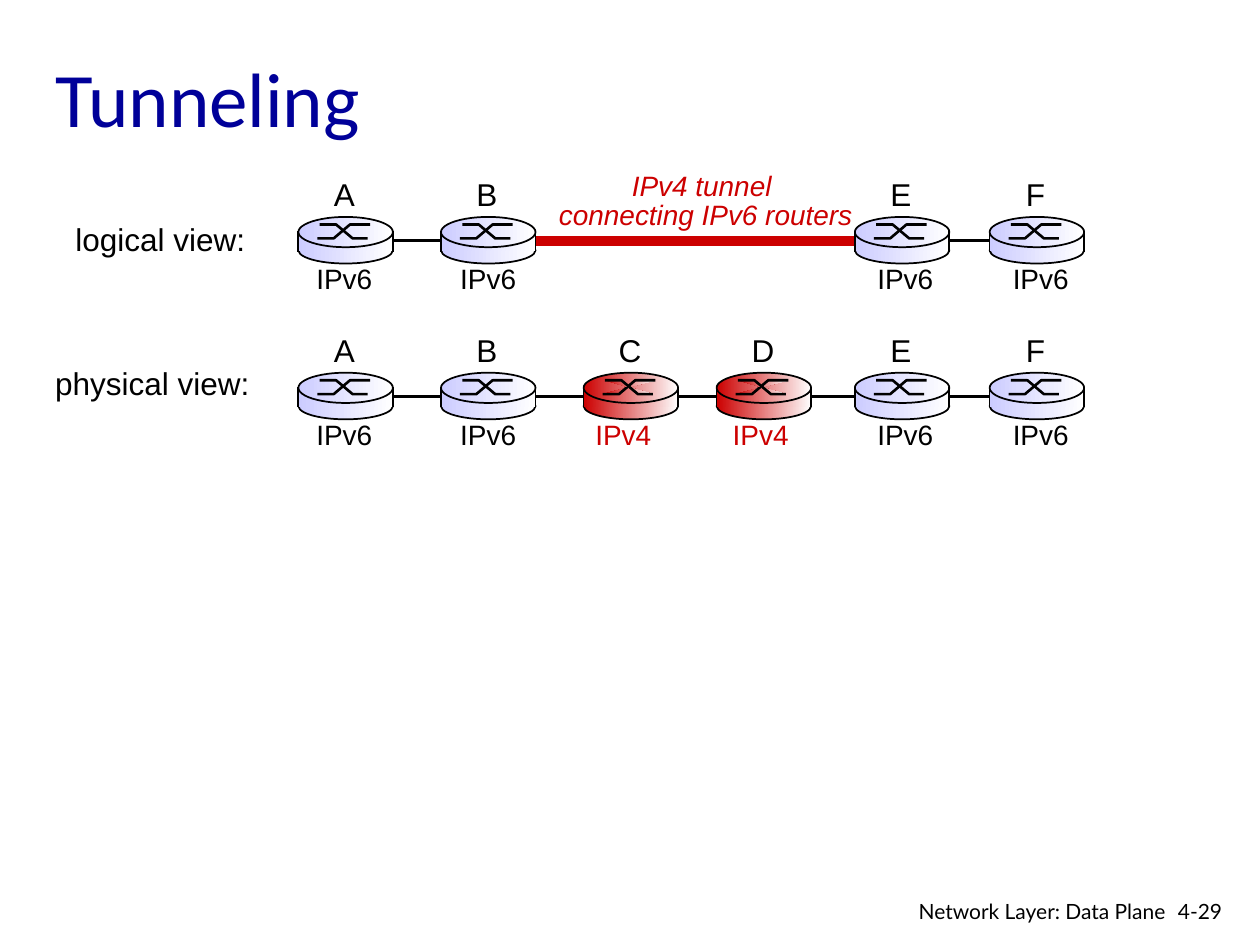
from dataclasses import dataclass

import pptx
import pptx.dml.color
import pptx.enum.shapes
import pptx.enum.text
import pptx.oxml
import pptx.util
from pptx.util import Pt

COLORS = {"title": "000099", "ink": "000000", "ipv6": "CCCCFF",
          "ipv4": "CC0000", "fade": "FFFFFF"}
SHAPES = pptx.enum.shapes.MSO_SHAPE
ALIGN = pptx.enum.text.PP_ALIGN
ANCHOR = pptx.enum.text.MSO_ANCHOR

ROUTER_WIDTH = 54
LINK_DROP = 13.5  # from the top of a router to its links
CROSS = (((10.8, 12.2), (20.2, 12.2), (29.5, 4.3), (41, 4.3)),
         ((12.2, 4.3), (21.6, 4.3), (31, 12.2), (39.6, 12.2)))


@dataclass(frozen=True)
class Router:
    letter: str
    left: float
    protocol: str = "IPv6"
    protocol_shift: float = 0


@dataclass(frozen=True)
class View:
    label: str
    label_left: float
    label_top: float
    label_width: float
    router_top: float
    letters: str


ROUTERS = {router.letter: router for router in (
    Router("A", 170.5, protocol_shift=-0.7),
    Router("B", 252),
    Router("C", 333.5, "IPv4", -4.3),
    Router("D", 409.5, "IPv4", -1.8),
    Router("E", 488.5, protocol_shift=1.8),
    Router("F", 565.5, protocol_shift=2.2),
)}
LOGICAL = View("logical view:", 36, 122.4, 111.6, 124, "ABEF")
PHYSICAL = View("physical view:", 24.5, 204.5, 125.3, 213, "ABCDEF")


def rgb(name: str) -> pptx.dml.color.RGBColor:
    return pptx.dml.color.RGBColor.from_string(COLORS[name])


def write(frame, text: str, *, size: float, font: str = "Arial", color: str = "ink",
          align=ALIGN.LEFT, italic: bool = False, spacing: float = 1.0,
          wrap: bool = False, anchor=ANCHOR.TOP) -> None:
    frame.word_wrap = wrap
    frame.vertical_anchor = anchor
    frame.text = text
    for paragraph in frame.paragraphs:
        paragraph.alignment = align
        paragraph.line_spacing = spacing
        paragraph.font.size = Pt(size)
        paragraph.font.name = font
        paragraph.font.italic = italic
        paragraph.font.color.rgb = rgb(color)


def add_text(slide, text: str, left: float, top: float, width: float,
             height: float, **style) -> None:
    box = slide.shapes.add_textbox(Pt(left), Pt(top), Pt(width), Pt(height))
    write(box.text_frame, text, **style)


def add_line(slide, x1: float, y1: float, x2: float, y2: float, weight: float) -> None:
    line = slide.shapes.add_connector(pptx.enum.shapes.MSO_CONNECTOR.STRAIGHT,
                                      Pt(x1), Pt(y1), Pt(x2), Pt(y2))
    line.line.color.rgb = rgb("ink")
    line.line.width = Pt(weight)
    line._element.spPr.append(pptx.oxml.parse_xml(
        '<a:effectLst xmlns:a="http://schemas.openxmlformats.org/drawingml/2006/main"/>'))


def fade_fill(shape, color: str) -> None:
    shape.fill.gradient()
    shape.fill.gradient_angle = 0
    for stop, position, name in zip(shape.fill.gradient_stops, (0, 1), (color, "fade")):
        stop.position = position
        stop.color.rgb = rgb(name)


def outline(shape, weight: float, color: str = "ink") -> None:
    shape.shadow.inherit = False
    if weight:
        shape.line.color.rgb = rgb(color)
        shape.line.width = Pt(weight)
    else:
        shape.line.fill.background()


def add_router(slide, router: Router, top: float) -> None:
    left, color = router.left, router.protocol.lower()

    # Body: lower rim, middle band, upper face
    for kind, drop, width, height, weight in (
            (SHAPES.OVAL, 11.5, ROUTER_WIDTH, 15.1, 1),
            (SHAPES.RECTANGLE, 10, ROUTER_WIDTH + 0.5, 9.4, 0),
            (SHAPES.OVAL, 0, ROUTER_WIDTH, 17.3, 1)):
        part = slide.shapes.add_shape(kind, Pt(left), Pt(top + drop), Pt(width), Pt(height))
        fade_fill(part, color)
        outline(part, weight)

    # Crossing paths on the face
    for points in CROSS:
        (start, *rest) = [(Pt(left + x), Pt(top + y)) for x, y in points]
        builder = slide.shapes.build_freeform(*start)
        builder.add_line_segments(rest, close=False)
        path = builder.convert_to_shape()
        if router.protocol == "IPv4":
            fade_fill(path, color)
        else:
            path.fill.background()
        outline(path, 1.5)

    # Sides
    for x in (left, left + ROUTER_WIDTH):
        add_line(slide, x, top + 8.2, x, top + 19.8, 1)

    # Letter above, protocol below
    center = left + ROUTER_WIDTH / 2
    add_text(slide, router.letter, center - 14, top - 27.3, 26.6, 29,
             size=18, align=ALIGN.CENTER)
    add_text(slide, router.protocol, center + router.protocol_shift - 23.5, top + 22.2,
             47, 26.6, size=16, align=ALIGN.CENTER,
             color="ipv4" if router.protocol == "IPv4" else "ink")


def add_view(slide, view: View) -> None:
    add_text(slide, view.label, view.label_left, view.label_top, view.label_width, 29, size=18)
    routers = [ROUTERS[letter] for letter in view.letters]
    for near, far in zip(routers, routers[1:]):
        if near.letter + far.letter != "BE":  # the tunnel joins these two
            y = view.router_top + LINK_DROP
            add_line(slide, near.left + ROUTER_WIDTH, y, far.left, y, 1.5)
    for router in routers:
        add_router(slide, router, view.router_top)


def main() -> None:
    deck = pptx.Presentation()
    deck.slide_width, deck.slide_height = Pt(720), Pt(540)
    slide = deck.slides.add_slide(deck.slide_layouts[5])

    # Title
    title = slide.shapes.title
    title.left, title.top, title.width, title.height = Pt(24.5), Pt(16.5), Pt(612), Pt(78)
    write(title.text_frame, "Tunneling", size=44, font="Calibri", color="title",
          wrap=True, anchor=ANCHOR.MIDDLE)

    # Tunnel, behind the routers it joins
    tunnel = slide.shapes.add_shape(SHAPES.RECTANGLE, Pt(303), Pt(135.5), Pt(189.5), Pt(5))
    tunnel.fill.solid()
    tunnel.fill.fore_color.rgb = rgb("ipv4")
    outline(tunnel, 0.75, "ipv4")
    add_text(slide, "IPv4 tunnel \nconnecting IPv6 routers", 311.8, 95.8, 182.9, 40.3,
             size=16, color="ipv4", align=ALIGN.CENTER, italic=True, spacing=0.85)

    # Both views
    for view in (LOGICAL, PHYSICAL):
        add_view(slide, view)

    # Footer
    add_text(slide, "4-29", 666, 509.8, 44, 21.6, size=12, font="Lato", wrap=True)
    add_text(slide, "Network Layer: Data Plane", 501.8, 509.8, 171.4, 18.7,
             size=12, font="Lato", align=ALIGN.RIGHT, wrap=True)

    deck.save("out.pptx")


if __name__ == "__main__":
    main()
